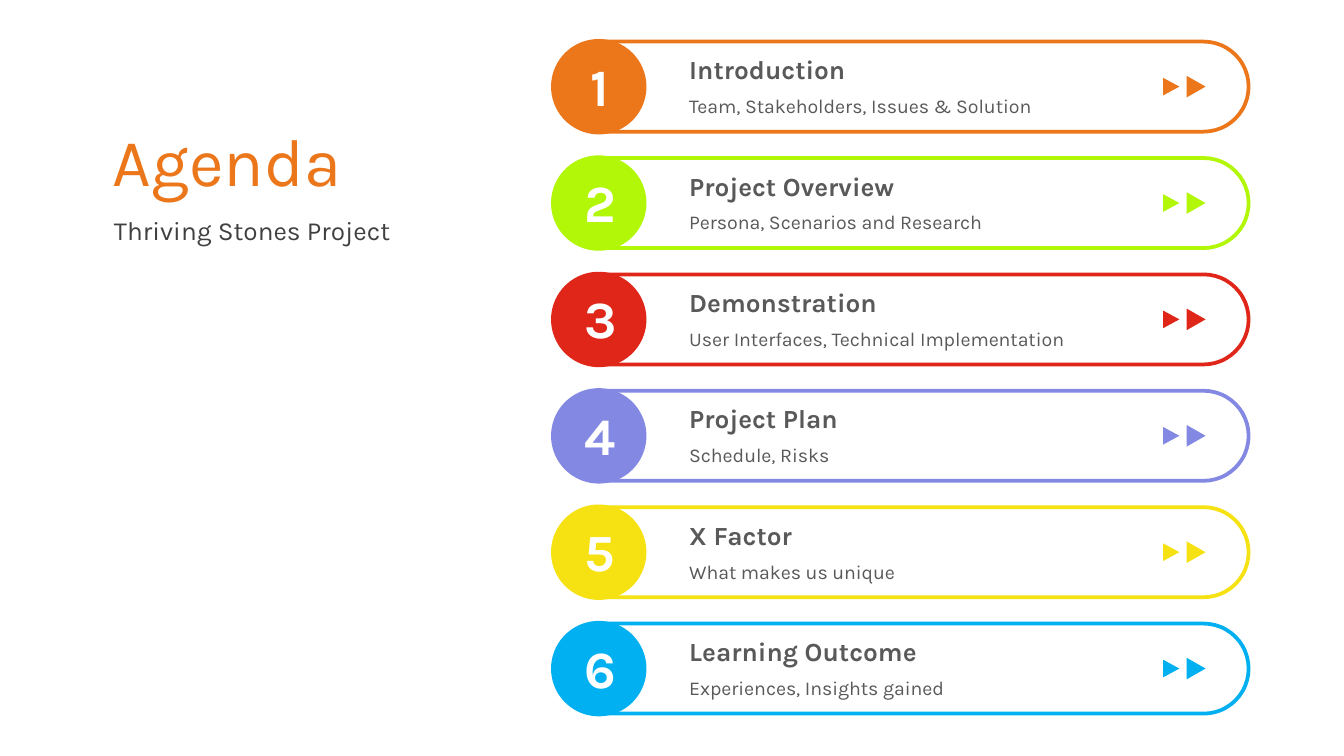
from dataclasses import dataclass

from pptx import Presentation
from pptx.dml.color import RGBColor
from pptx.enum.shapes import MSO_SHAPE
from pptx.enum.text import MSO_ANCHOR, MSO_AUTO_SIZE, PP_ALIGN
from pptx.shapes.autoshape import Shape
from pptx.shapes.shapetree import GroupShapes, SlideShapes
from pptx.slide import Slide
from pptx.text.text import TextFrame
from pptx.util import Inches, Pt

PILL_END = MSO_SHAPE.ROUND_2_SAME_RECTANGLE
CIRCLE = MSO_SHAPE.OVAL
TRIANGLE = MSO_SHAPE.ISOSCELES_TRIANGLE
MIDDLE, TOP = MSO_ANCHOR.MIDDLE, MSO_ANCHOR.TOP
LEFT, CENTER = PP_ALIGN.LEFT, PP_ALIGN.CENTER
GROW, FIXED = MSO_AUTO_SIZE.SHAPE_TO_FIT_TEXT, MSO_AUTO_SIZE.NONE


@dataclass(frozen=True)
class Theme:
    font: str = "Karla"
    accent: str = "EC771B"
    subtitle: str = "404040"
    body: str = "595959"
    white: str = "FFFFFF"
    title_size: float = 36
    number_size: float = 28
    heading_size: float = 14
    detail_size: float = 10.5
    outline: float = 2


@dataclass(frozen=True)
class AgendaItem:
    heading: str
    details: str
    color: str


@dataclass(frozen=True)
class Box:
    left: float
    top: float
    width: float
    height: float

    def lengths(self) -> tuple[int, int, int, int]:
        return (Inches(self.left), Inches(self.top),
                Inches(self.width), Inches(self.height))


THEME = Theme()
AGENDA = [
    AgendaItem("Introduction", "Team, Stakeholders, Issues & Solution", THEME.accent),
    AgendaItem("Project Overview", "Persona, Scenarios and Research", "B2F608"),
    AgendaItem("Demonstration", "User Interfaces, Technical Implementation", "DF2619"),
    AgendaItem("Project Plan", "Schedule, Risks", "8388E3"),
    AgendaItem("X Factor", "What makes us unique", "F6E213"),
    AgendaItem("Learning Outcome", "Experiences, Insights gained", "00B0F0"),
]

# Row geometry: the circles run evenly from the first top to the last
FIRST_TOP, LAST_TOP = 0.29, 4.62
PITCH = (LAST_TOP - FIRST_TOP) / (len(AGENDA) - 1)
CIRCLE_LEFT, CIRCLE_SIZE = 4.1, 0.71
PILL_CENTER, PILL_LENGTH, PILL_HEIGHT = 6.89, 4.8, 0.67


def write(frame: TextFrame, text: str, size: float, color: str,
          bold: bool = False, align: PP_ALIGN = LEFT) -> None:
    paragraph = frame.paragraphs[0]
    paragraph.alignment = align
    run = paragraph.add_run()
    run.text = text
    run.font.name = THEME.font
    run.font.size = Pt(size)
    run.font.bold = bold
    run.font.color.rgb = RGBColor.from_string(color)


def add_text_frame(shapes: SlideShapes | GroupShapes, box: Box,
                   anchor: MSO_ANCHOR = TOP, wrap: bool = True,
                   auto_size: MSO_AUTO_SIZE = GROW) -> TextFrame:
    frame = shapes.add_textbox(*box.lengths()).text_frame
    frame.word_wrap = wrap
    frame.auto_size = auto_size
    frame.vertical_anchor = anchor
    return frame


def add_filled(shapes: SlideShapes | GroupShapes, kind: MSO_SHAPE, box: Box,
               color: str, rotation: float = 0) -> Shape:
    shape = shapes.add_shape(kind, *box.lengths())
    shape.rotation = rotation
    shape.shadow.inherit = False
    shape.fill.solid()
    shape.fill.fore_color.rgb = RGBColor.from_string(color)
    shape.line.fill.background()
    return shape


def add_titles(slide: Slide) -> None:
    title = slide.shapes.title
    title.left, title.top, title.width, title.height = Box(0.74, 0.52, 2.83, 1.34).lengths()
    title.text_frame.vertical_anchor = MIDDLE
    title.text_frame.auto_size = FIXED
    write(title.text_frame, "Agenda", THEME.title_size, THEME.accent)

    subtitle = add_text_frame(slide.shapes, Box(0.75, 1.4, 2.83, 0.63), MIDDLE,
                              auto_size=FIXED)
    write(subtitle, "Thriving Stones Project", THEME.heading_size, THEME.subtitle)


def add_agenda_row(slide: Slide, number: int, item: AgendaItem) -> None:
    top = FIRST_TOP + (number - 1) * PITCH
    middle = top + CIRCLE_SIZE / 2

    # Outlined pill: a tall shape turned so its round end faces right
    pill = add_filled(slide.shapes, PILL_END,
                      Box(PILL_CENTER - PILL_HEIGHT / 2, middle - PILL_LENGTH / 2,
                          PILL_HEIGHT, PILL_LENGTH), THEME.white, 90)
    pill.adjustments[0], pill.adjustments[1] = 0.5, 0
    pill.line.color.rgb = RGBColor.from_string(item.color)
    pill.line.width = Pt(THEME.outline)

    # Numbered circle
    add_filled(slide.shapes, CIRCLE,
               Box(CIRCLE_LEFT, top, CIRCLE_SIZE, CIRCLE_SIZE), item.color)
    number_frame = add_text_frame(slide.shapes, Box(4.25, top + 0.06, 0.43, 0.57),
                                  MIDDLE, wrap=False)
    write(number_frame, str(number), THEME.number_size, THEME.white, True, CENTER)

    # Heading and details
    topic = slide.shapes.add_group_shape().shapes
    write(add_text_frame(topic, Box(5.03, top + 0.06, 3.08, 0.34)),
          item.heading, THEME.heading_size, THEME.body, True)
    write(add_text_frame(topic, Box(5.03, top + 0.36, 3.2, 0.28)),
          item.details, THEME.detail_size, THEME.body)

    # Double arrow pointing right
    arrows = slide.shapes.add_group_shape().shapes
    for left, width, height in ((8.65, 0.13, 0.12), (8.82, 0.16, 0.14)):
        add_filled(arrows, TRIANGLE,
                   Box(left, middle - height / 2, width, height), item.color, 90)


def main() -> None:
    presentation = Presentation()
    presentation.slide_width = Inches(10)
    presentation.slide_height = presentation.slide_width * 9 // 16
    slide = presentation.slides.add_slide(
        presentation.slide_layouts.get_by_name("Title Only"))

    add_titles(slide)
    for number, item in enumerate(AGENDA, start=1):
        add_agenda_row(slide, number, item)

    presentation.save("out.pptx")


if __name__ == "__main__":
    main()
